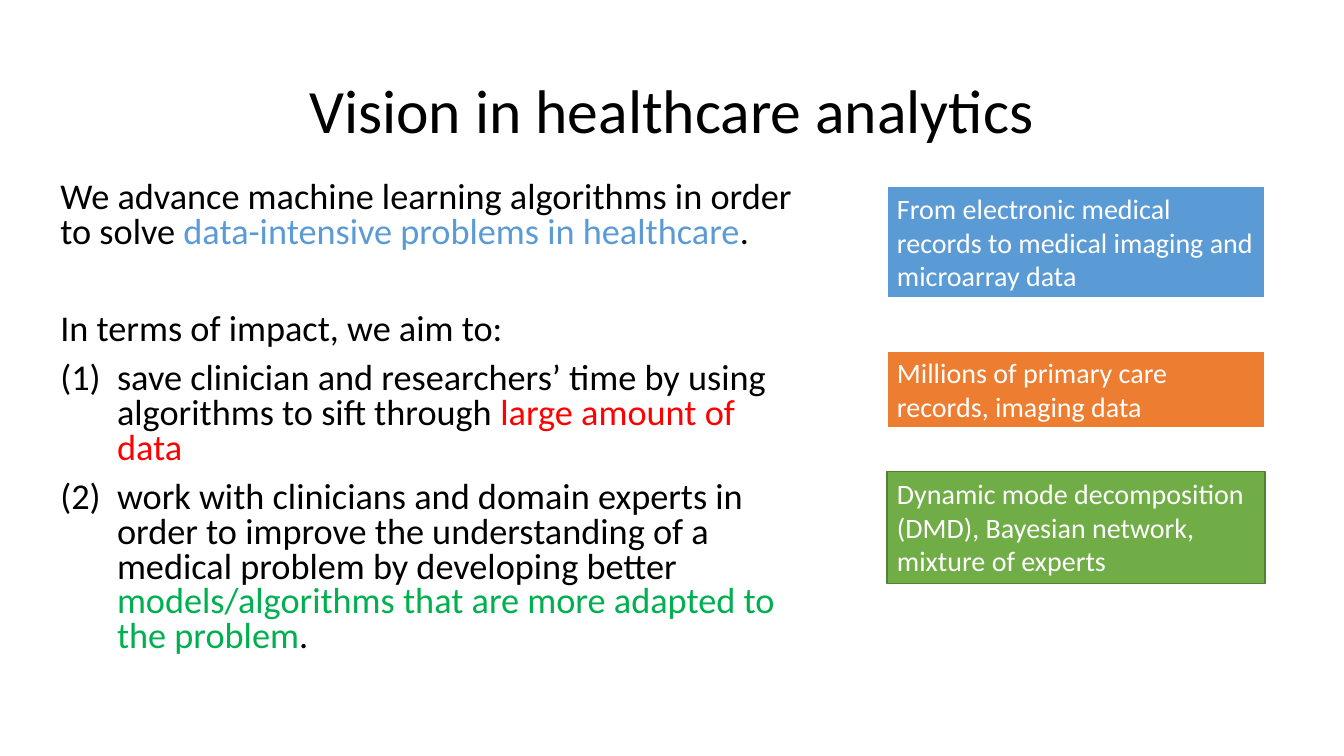
import pptx
import pptx.util
import pptx.dml.color
import pptx.enum.shapes
import pptx.enum.text
import lxml.etree

Pt = pptx.util.Pt
ALIGN = pptx.enum.text.PP_ALIGN
ANCHOR = pptx.enum.text.MSO_ANCHOR
FONT = "Calibri"
BLACK, WHITE = "000000", "FFFFFF"
BLUE, ORANGE, GREEN = "5B9BD5", "ED7D31", "70AD47"

GOALS = [
    [("save clinician and researchers’ time by using algorithms to sift through ", BLACK),
     ("large amount of data", "FF0000")],
    [("work with clinicians and domain experts in order to improve the understanding "
      "of a medical problem by developing better ", BLACK),
     ("models/algorithms that are more adapted to the problem", "00B050"),
     (".", BLACK)],
]
MISSION = [
    ("We advance machine learning algorithms in order to solve ", BLACK),
    ("data-intensive problems in healthcare", BLUE),
    (".", BLACK),
]
# top and height relative to the column, fill, outline, outline width, text
CALLOUTS = [
    (0, 80, BLUE, WHITE, 1.5,
     "From electronic medical records to medical imaging and microarray data"),
    (117.4, 55.5, ORANGE, WHITE, 1.5,
     "Millions of primary care records, imaging data"),
    (203.8, 80, GREEN, "538035", 1,
     "Dynamic mode decomposition (DMD), Bayesian network, mixture of experts"),
]


def rgb(hex_colour):
    return pptx.dml.color.RGBColor.from_string(hex_colour)


def add_runs(paragraph, pieces, size):
    for text, colour in pieces:
        run = paragraph.add_run()
        run.text = text
        run.font.name = FONT
        run.font.size = Pt(size)
        run.font.color.rgb = rgb(colour)


def number_paragraph(paragraph, indent):
    """Give the paragraph a hanging "(1)" style number."""
    properties = paragraph._p.get_or_add_pPr()
    properties.set("marL", str(Pt(indent)))
    properties.set("indent", str(-Pt(indent)))
    numbering = lxml.etree.SubElement(properties, pptx.oxml.ns.qn("a:buAutoNum"))
    numbering.set("type", "arabicParenBoth")


def add_text_frame(slide, left, top, width, height):
    frame = slide.shapes.add_textbox(Pt(left), Pt(top), Pt(width), Pt(height)).text_frame
    frame.word_wrap = True
    return frame


def add_title(slide, left, top, width, height):
    frame = add_text_frame(slide, left, top, width, height)
    frame.vertical_anchor = ANCHOR.MIDDLE
    heading = frame.paragraphs[0]
    heading.alignment = ALIGN.CENTER
    heading.line_spacing = 0.9
    add_runs(heading, [("Vision in healthcare analytics", BLACK)], 44)


def add_vision(slide, left, top, width, height):
    frame = add_text_frame(slide, left, top, width, height)
    aims_lead = [("In terms of impact, we aim to:", BLACK)]
    for index, pieces in enumerate([MISSION, aims_lead, *GOALS]):
        paragraph = frame.add_paragraph() if index else frame.paragraphs[0]
        paragraph.line_spacing = 0.8
        paragraph.space_before = Pt(45 if pieces is aims_lead else 10)
        if pieces in GOALS:
            number_paragraph(paragraph, 40.5)
        add_runs(paragraph, pieces, 25.9)


def add_callouts(slide, left, top, width):
    for offset, height, fill, outline, outline_width, text in CALLOUTS:
        callout = slide.shapes.add_shape(
            pptx.enum.shapes.MSO_SHAPE.RECTANGLE,
            Pt(left), Pt(top + offset), Pt(width), Pt(height))
        callout.shadow.inherit = False
        callout.fill.solid()
        callout.fill.fore_color.rgb = rgb(fill)
        callout.line.color.rgb = rgb(outline)
        callout.line.width = Pt(outline_width)
        frame = callout.text_frame
        frame.word_wrap = True
        frame.auto_size = pptx.enum.text.MSO_AUTO_SIZE.SHAPE_TO_FIT_TEXT
        frame.vertical_anchor = ANCHOR.TOP
        frame.paragraphs[0].alignment = ALIGN.LEFT
        add_runs(frame.paragraphs[0], [(text, WHITE)], 20)


def main():
    deck = pptx.Presentation()
    deck.slide_width, deck.slide_height = Pt(960), Pt(540)
    slide = deck.slides.add_slide(deck.slide_layouts[6])
    add_vision(slide, 36, 126, 541.5, 356.5)
    add_callouts(slide, 633.6, 133.2, 270)
    add_title(slide, 66, 28.75, 828, 104.4)
    deck.save("out.pptx")


if __name__ == "__main__":
    main()
